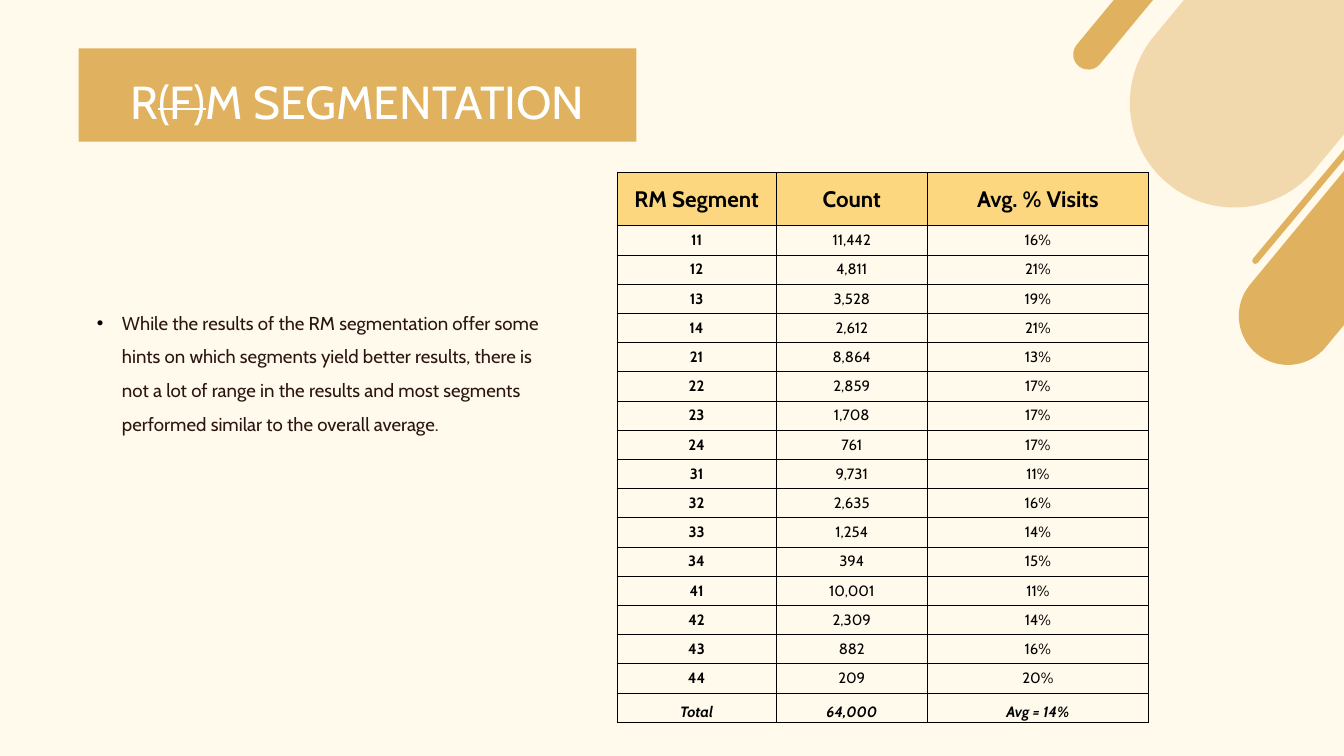
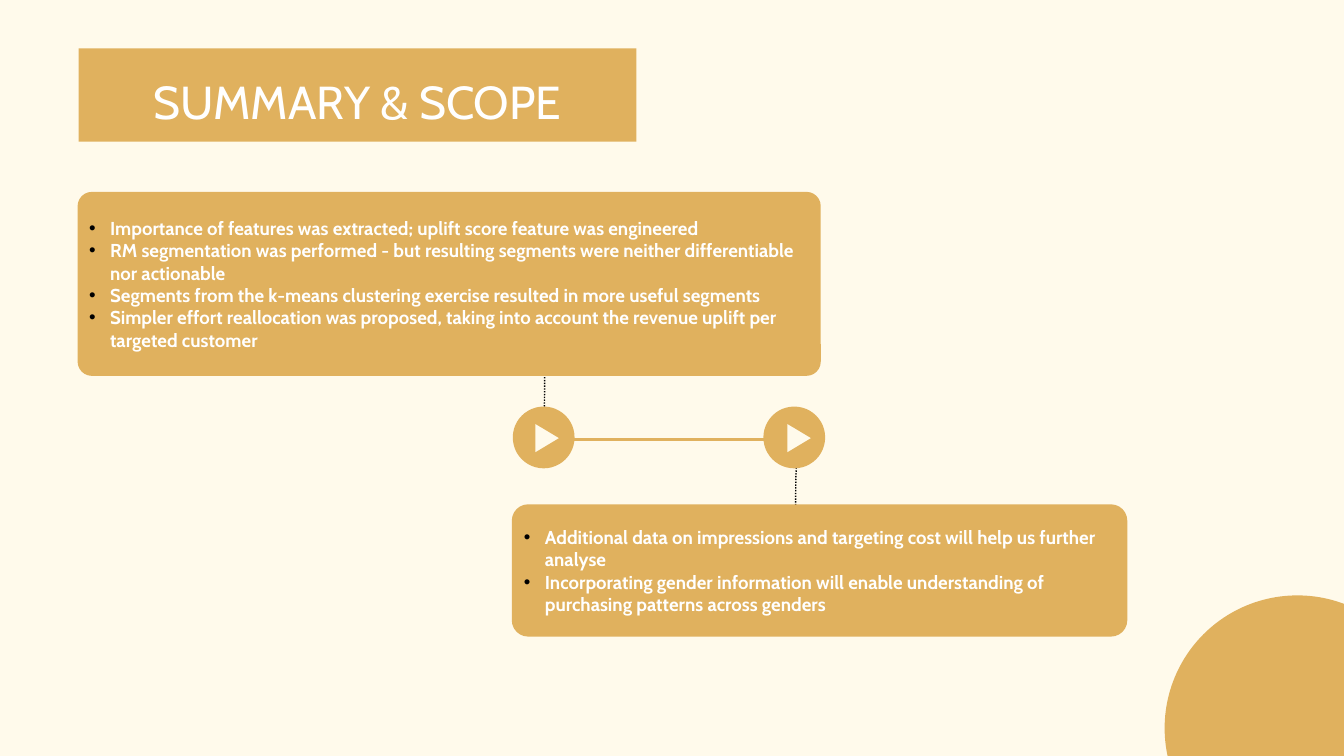
from lxml.etree import SubElement
from pptx import Presentation
from pptx.dml.color import RGBColor
from pptx.enum.dml import MSO_LINE
from pptx.enum.shapes import MSO_CONNECTOR as Link, MSO_SHAPE as Shape
from pptx.enum.text import MSO_ANCHOR as Anchor, MSO_AUTO_SIZE as AutoSize, PP_ALIGN as Align
from pptx.oxml.ns import qn
from pptx.util import Pt

FONT = "Cabin"
CREAM = RGBColor(0xFF, 0xFA, 0xEB)
GOLD = RGBColor(0xE0, 0xB1, 0x5E)
HEADER = RGBColor(0xFD, 0xD7, 0x80)
BROWN = RGBColor(0x2B, 0x15, 0x11)
BLACK = RGBColor(0, 0, 0)
WHITE = RGBColor(0xFF, 0xFF, 0xFF)

SEGMENT_TITLE = [("R", False), ("(F)", True), ("M SEGMENTATION", False)]
SEGMENT_NOTE = [
    "While the results of the RM segmentation offer some hints on which segments yield "
    "better results, there is not a lot of range in the results and most segments "
    "performed similar to the overall average.",
]
SEGMENT_HEADER = ("RM Segment", "Count", "Avg. % Visits")
SEGMENTS = [
    ("11", "11,442", "16%"),
    ("12", "4,811", "21%"),
    ("13", "3,528", "19%"),
    ("14", "2,612", "21%"),
    ("21", "8,864", "13%"),
    ("22", "2,859", "17%"),
    ("23", "1,708", "17%"),
    ("24", "761", "17%"),
    ("31", "9,731", "11%"),
    ("32", "2,635", "16%"),
    ("33", "1,254", "14%"),
    ("34", "394", "15%"),
    ("41", "10,001", "11%"),
    ("42", "2,309", "14%"),
    ("43", "882", "16%"),
    ("44", "209", "20%"),
]
SEGMENT_TOTAL = ("Total", "64,000", "Avg = 14%")
COLUMN_WIDTHS = (170.6, 162, 236.8)
HEADER_HEIGHT, ROW_HEIGHT = 56.9, 31.3

PILLS = [
    ((1321.2, -308.9, 223.9, 571), 44),
    ((1441.4, -31, 105.1, 463), 100),
    ((1180.8, -43.9, 32.4, 129.6), 100),
]
PILL_ANGLE = 219.6

SCOPE_TITLE = [("SUMMARY & SCOPE", False)]
SUMMARY = [
    "Importance of features was extracted; uplift score feature was engineered",
    "RM segmentation was performed - but resulting segments were neither differentiable nor actionable",
    "Segments from the k-means clustering exercise resulted in more useful segments",
    "Simpler effort reallocation was proposed, taking into account the revenue uplift per targeted customer",
]
SCOPE = [
    "Additional data on impressions and targeting cost will help us further analyse",
    "Incorporating gender information will enable understanding of purchasing patterns across genders",
]
CARDS = [
    ((84.2, 206.6, 794.2, 195.1), 0.073, SUMMARY),
    ((549.4, 541.4, 657.4, 139.7), 0.118, SCOPE),
]
DOTTED_LINKS = [((583.2, 435.6), (583.9, 363.6)), ((851.8, 574.6), (853.2, 501.8))]
BUTTONS = [(549.4, 571), (817.9, 841)]
BUTTON_TOP, BUTTON_SIZE = 435.6, 66.2


def points(values):
    """Turn plain numbers into lengths."""
    return [Pt(value) for value in values]


def add_span(para, text, size, color, bold=False, italic=False):
    """Add one formatted run."""
    span = para.add_run()
    span.text = text
    font = span.font
    font.name, font.size, font.bold, font.italic = FONT, Pt(size), bold, italic
    font.color.rgb = color
    return span


def add_bullets(frame, items, color, bold, indent, spacing=None):
    """Fill a text frame with bulleted paragraphs."""
    frame.word_wrap = True
    for index, item in enumerate(items):
        para = frame.add_paragraph() if index else frame.paragraphs[0]
        para.alignment = Align.LEFT
        properties = para._p.get_or_add_pPr()
        properties.set("marL", str(Pt(indent)))
        properties.set("indent", str(-Pt(indent)))
        tint = SubElement(properties, qn("a:buClr"))
        SubElement(tint, qn("a:srgbClr"), val=str(BLACK))
        SubElement(properties, qn("a:buFont"), typeface="Arial")
        SubElement(properties, qn("a:buChar"), char="•")
        if spacing:
            para.line_spacing = spacing
        add_span(para, item, 20, color, bold)


def add_solid(page, kind, place, color, angle=0, outline=None):
    """Add a flat preset shape."""
    shape = page.shapes.add_shape(kind, *points(place))
    shape.shadow.inherit = False
    shape.fill.solid()
    shape.fill.fore_color.rgb = color
    shape.rotation = angle
    if outline:
        shape.line.color.rgb = color
        shape.line.width = Pt(outline)
    else:
        shape.line.fill.background()
    return shape


def add_line(page, kind, start, end, color, width):
    """Add a connector without a shadow."""
    line = page.shapes.add_connector(kind, *points(start + end))
    line.line.color.rgb = color
    line.line.width = Pt(width)
    SubElement(line._element.spPr, qn("a:effectLst"))
    return line


def add_page(deck, title):
    """Add a slide with its title band."""
    page = deck.slides.add_slide(deck.slide_layouts[5])
    band = page.shapes.title
    band.left, band.top, band.width, band.height = points((84.2, 51.8, 597.6, 100.1))
    band.fill.solid()
    band.fill.fore_color.rgb = GOLD
    frame = band.text_frame
    frame.auto_size = AutoSize.NONE
    frame.word_wrap = True
    frame.vertical_anchor = Anchor.MIDDLE
    frame.margin_left = frame.margin_right = frame.margin_top = frame.margin_bottom = Pt(4)
    para = frame.paragraphs[0]
    para.alignment = Align.CENTER
    para.line_spacing = 1.2
    for text, struck in title:
        span = add_span(para, text, 49.5, WHITE)
        if struck:
            span._r.get_or_add_rPr().set("strike", "sngStrike")
    return page


def format_cell(cell, text, size, fill, bold, total):
    """Write one table cell with its border and fill."""
    properties = cell._tc.get_or_add_tcPr()
    for side in ("lnL", "lnR", "lnT", "lnB"):
        border = SubElement(properties, qn(f"a:{side}"), w=str(Pt(1)))
        SubElement(SubElement(border, qn("a:solidFill")), qn("a:srgbClr"), val=str(BLACK))
    cell.fill.solid()
    cell.fill.fore_color.rgb = fill
    cell.vertical_anchor = Anchor.MIDDLE
    cell.margin_left = cell.margin_right = Pt(0.7 if total else 2)
    cell.margin_top = Pt(0.7 if total else 1.4)
    cell.margin_bottom = Pt(0 if total else 1.4)
    para = cell.text_frame.paragraphs[0]
    para.alignment = Align.CENTER
    if total:
        para.line_spacing = 1.5
    add_span(para, text, size, BLACK, bold, total)


def add_segment_table(page):
    """Add the table of segments."""
    rows = [SEGMENT_HEADER, *SEGMENTS, SEGMENT_TOTAL]
    heights = [HEADER_HEIGHT] + [ROW_HEIGHT] * (len(rows) - 1)
    place = points((661, 185, sum(COLUMN_WIDTHS), sum(heights)))
    table = page.shapes.add_table(len(rows), len(COLUMN_WIDTHS), *place).table
    table.horz_banding = False
    for column, width in zip(table.columns, COLUMN_WIDTHS):
        column.width = Pt(width)
    for row, height, values in zip(table.rows, heights, rows):
        row.height = Pt(height)
        head, total = values is SEGMENT_HEADER, values is SEGMENT_TOTAL
        for index, (cell, text) in enumerate(zip(row.cells, values)):
            bold = head or total or index == 0
            format_cell(cell, text, 24 if head else 16, HEADER if head else CREAM, bold, total)


def build_segmentation(deck):
    """Build the segmentation slide."""
    page = add_page(deck, SEGMENT_TITLE)
    for place, opacity in PILLS:
        pill = add_solid(page, Shape.ROUND_2_SAME_RECTANGLE, place, GOLD, PILL_ANGLE)
        pill.adjustments[0] = 0.5
        if opacity < 100:
            tint = pill._element.spPr.find(qn("a:solidFill")).find(qn("a:srgbClr"))
            SubElement(tint, qn("a:alpha"), val=str(opacity * 1000))
    stroke = add_line(page, Link.STRAIGHT, (1596.2, -21.6), (1345, 279.4), GOLD, 6.75)
    stroke.line._ln.set("cap", "rnd")
    add_segment_table(page)
    note = page.shapes.add_textbox(*points((103.7, 321.8, 490.3, 181.4))).text_frame
    note.margin_left = note.margin_right = note.margin_top = note.margin_bottom = 0
    add_bullets(note, SEGMENT_NOTE, BROWN, False, 27, 1.5)


def build_scope(deck):
    """Build the summary and scope slide."""
    page = add_page(deck, SCOPE_TITLE)
    add_solid(page, Shape.OVAL, (1247.8, 637.9, 284.4, 284.4), GOLD)
    for start, end in DOTTED_LINKS:
        dotted = add_line(page, Link.CURVE, start, end, BLACK, 1.5)
        dotted.line.dash_style = MSO_LINE.ROUND_DOT
    add_line(page, Link.STRAIGHT, (583.2, 470.9), (858.2, 470.9), GOLD, 3)
    for left, arrow_left in BUTTONS:
        add_solid(page, Shape.OVAL, (left, BUTTON_TOP, BUTTON_SIZE, BUTTON_SIZE), GOLD)
        add_solid(page, Shape.ISOSCELES_TRIANGLE, (arrow_left, 456.8, 30.2, 25.2), CREAM, 90)
    for place, corner, items in CARDS:
        card = add_solid(page, Shape.ROUNDED_RECTANGLE, place, GOLD, outline=2)
        card.adjustments[0] = corner
        card.text_frame.vertical_anchor = Anchor.MIDDLE
        add_bullets(card.text_frame, items, WHITE, True, 22.5)


def main():
    """Build and save the deck."""
    deck = Presentation()
    deck.slide_width, deck.slide_height = Pt(1440), Pt(810)
    backdrop = deck.slide_master.background.fill
    backdrop.solid()
    backdrop.fore_color.rgb = CREAM
    build_segmentation(deck)
    build_scope(deck)
    deck.save("out.pptx")


if __name__ == "__main__":
    main()
